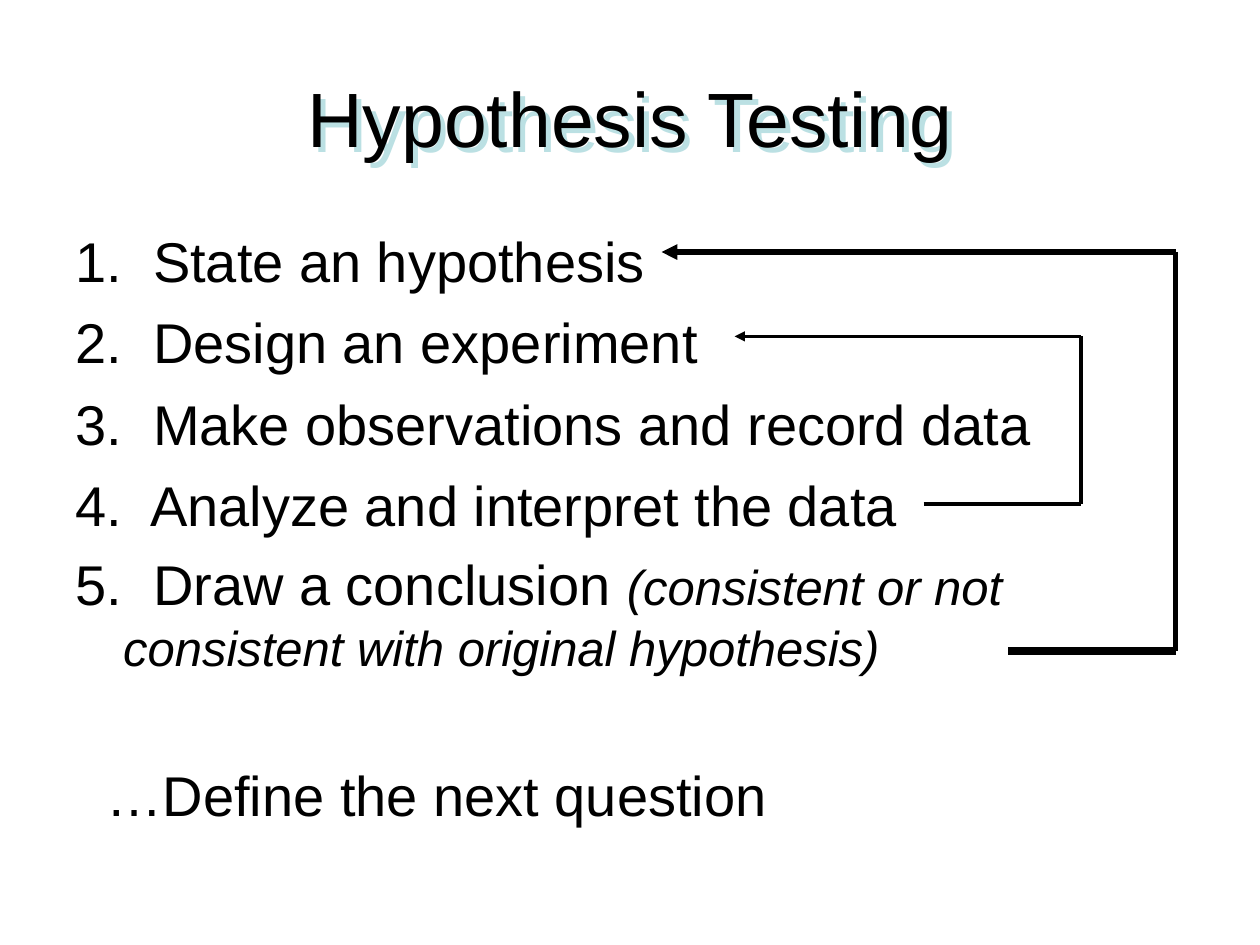
"""Builds a slide on the steps of hypothesis testing, with two feedback loops."""
from lxml.etree import SubElement as Sub
from pptx import Presentation
from pptx.dml.color import RGBColor as RGB
from pptx.enum.shapes import MSO_CONNECTOR as CONN
from pptx.enum.text import MSO_ANCHOR as ANCHOR, PP_ALIGN as ALIGN
from pptx.oxml.ns import qn
from pptx.util import Inches, Pt

HUES = {"ink": "000000", "shade": "BBE0E3"}
INK = RGB.from_string(HUES["ink"])
STEPS = [
    ("1.  State an hypothesis", "", 8),
    ("2.  Design an experiment", "", 8),
    ("3.  Make observations and record data", "", 8),
    ("4.  Analyze and interpret the data", "", 8),
    ("5.  Draw a conclusion ",
     "(consistent or not consistent with original hypothesis)", 7),
    ("…Define the next question", "", 48.5),
]
LOOPS = [
    ([(7.33, 4), (8.58, 4), (8.58, 2.67), (5.83, 2.67)], (2.25, 2.25, 1.75)),
    ([(8, 5.17), (9.33, 5.17), (9.33, 2), (5.25, 2)], (4.5, 3, 3)),
]


def style(para, size):
    para.font.name = "Arial"
    para.font.size = Pt(size)
    para.font.color.rgb = INK


prs = Presentation()
prs.slide_width, prs.slide_height = Inches(10), Inches(7.5)
slide = prs.slides.add_slide(prs.slide_layouts[5])

title = slide.shapes.title
title.left, title.top = Inches(0.5), Inches(0.3)
title.width, title.height = Inches(9), Inches(1.25)
title.text_frame.text = "Hypothesis Testing"
title.text_frame.vertical_anchor = ANCHOR.MIDDLE
head = title.text_frame.paragraphs[0]
head.alignment = ALIGN.CENTER
style(head, 44)
title.fill.background()
glow = Sub(title._element.spPr, qn("a:effectLst"))
shade = Sub(glow, qn("a:outerShdw"), dist=str(Inches(0.06)), dir="2700000")
Sub(shade, qn("a:srgbClr"), val=HUES["shade"])

body = slide.shapes.add_textbox(Inches(0.5), Inches(1.75), Inches(9), Inches(4.95))
frame = body.text_frame
frame.word_wrap = True
for num, (text, note, gap) in enumerate(STEPS):
    para = frame.paragraphs[0] if num == 0 else frame.add_paragraph()
    style(para, 32)
    para.space_before = Pt(gap)
    para.add_run().text = text
    if note:
        run = para.add_run()
        run.text = note
        run.font.size = Pt(28)
        run.font.italic = True
    last = num == len(STEPS) - 1
    props = para._p.get_or_add_pPr()
    props.set("marL", str(Inches(0.25 if last else 0.38)))
    props.set("indent", str(Inches(0 if last else -0.38)))

for points, widths in LOOPS:
    for start, end, width in zip(points, points[1:], widths):
        ends = [Inches(val) for val in start + end]
        line = slide.shapes.add_connector(CONN.STRAIGHT, *ends)
        line.line.color.rgb = INK
        line.line.width = Pt(width)
        if end == points[-1]:
            Sub(line.line._get_or_add_ln(), qn("a:tailEnd"), type="triangle")
        Sub(line._element.spPr, qn("a:effectLst"))

prs.save("out.pptx")
